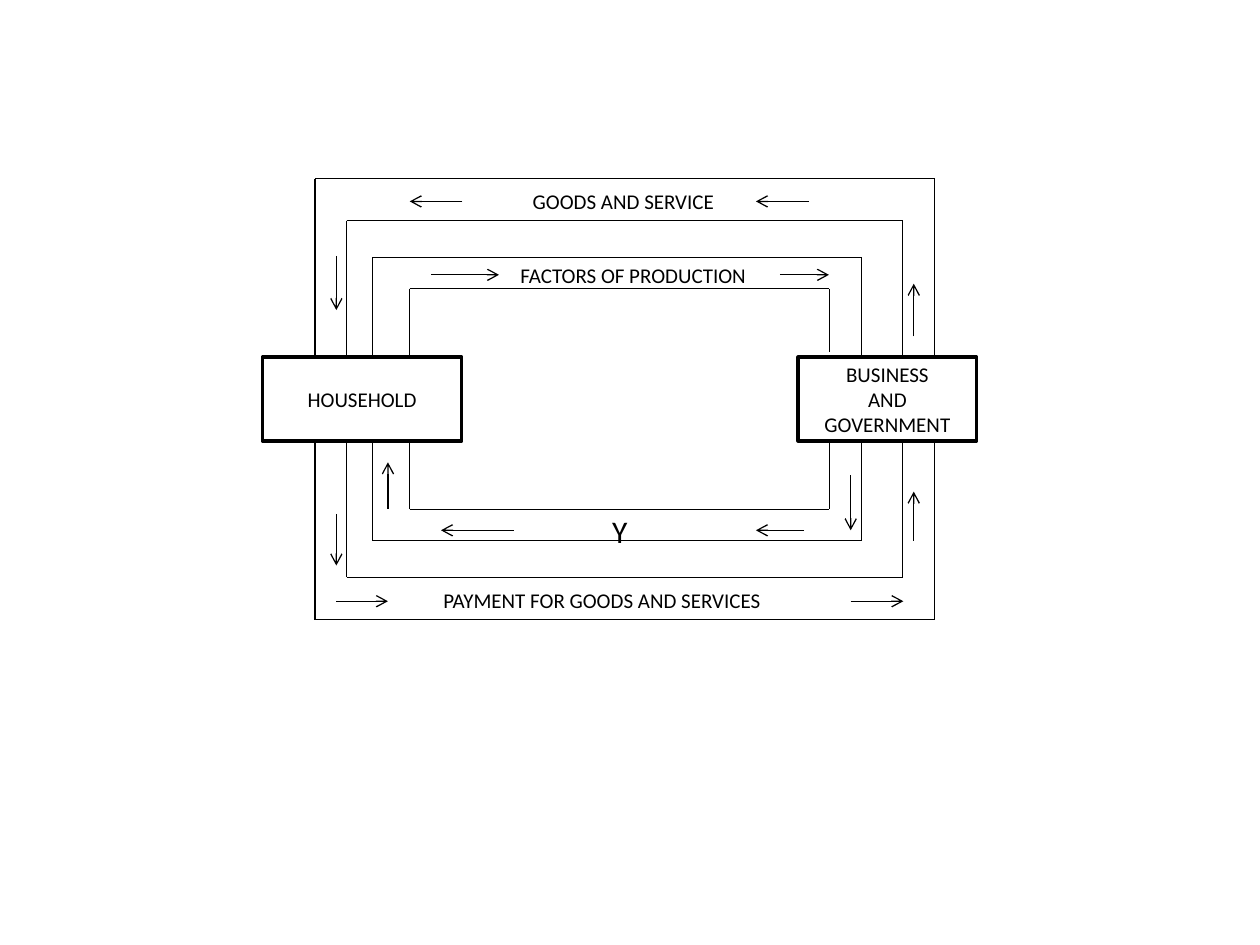
from dataclasses import dataclass

from lxml import etree
from pptx import Presentation
from pptx import util as u
from pptx.dml.color import RGBColor
from pptx.enum import shapes, text
from pptx.oxml import ns


@dataclass(frozen=True)
class Theme:
    """Colours, font and sizes of the slide."""
    ink: RGBColor = RGBColor(0, 0, 0)
    paper: RGBColor = RGBColor(255, 255, 255)
    font: str = "Calibri"
    body: int = 12
    symbol: int = 18
    thin: float = 0.75
    thick: float = 2


THEME = Theme()
SECTOR_TOP, SECTOR_BOTTOM = 3.6, 5.29
LOOPS = [
    (1.06, 0, 13.55, 8.89, SECTOR_TOP),
    (1.7, 0.85, 12.91, 8.04, SECTOR_TOP),
    (2.22, 1.59, 12.07, 7.3, SECTOR_TOP),
    (2.97, 2.22, 11.43, 6.67, 3.49),
]
SECTORS = [
    (0, 4.02, ["HOUSEHOLD"]),
    (10.8, 3.6, ["BUSINESS", "AND", "GOVERNMENT"]),
]
LABELS = [
    (5.2, 0.08, 4.22, 0.76, "GOODS AND SERVICE", THEME.body),
    (4.95, 1.56, 5.21, 0.76, "FACTORS OF PRODUCTION", THEME.body),
    (3.4, 8.11, 7.09, 0.76, "PAYMENT FOR GOODS AND SERVICES", THEME.body),
    (6.8, 6.59, 0.81, 1.02, "Y", THEME.symbol),
]
ACROSS = [
    (0.46, 4.03, 2.97), (0.46, 11.02, 9.95),
    (1.94, 3.4, 4.77), (1.94, 10.43, 11.42),
    (7.09, 5.07, 3.6), (7.09, 10.92, 9.95),
    (8.52, 1.49, 2.53), (8.52, 11.86, 12.92),
]
UPRIGHT = [
    (1.49, 1.56, 2.65), (1.49, 6.76, 7.8), (2.53, 6.66, 5.72),
    (11.86, 5.98, 7.09), (13.13, 3.18, 2.12), (13.13, 7.3, 6.31),
]


def write(frame, lines, size=THEME.body, align=None, anchor=text.MSO_ANCHOR.TOP, wrap=True):
    """Fill a text frame with one paragraph for each line."""
    frame.word_wrap = wrap
    frame.vertical_anchor = anchor
    for index, line in enumerate(lines):
        paragraph = frame.add_paragraph() if index else frame.paragraphs[0]
        paragraph.alignment = align
        run = paragraph.add_run()
        run.text = line
        run.font.name = THEME.font
        run.font.size = u.Pt(size)
        run.font.color.rgb = THEME.ink


def draw_line(slide, box, x1, y1, x2, y2, arrow=False):
    """Draw a thin line within the box, with an arrowhead at its end if asked."""
    left, top = box
    line = slide.shapes.add_connector(
        shapes.MSO_CONNECTOR.STRAIGHT,
        u.Cm(left + x1), u.Cm(top + y1), u.Cm(left + x2), u.Cm(top + y2))
    line.line.color.rgb = THEME.ink
    line.line.width = u.Pt(THEME.thin)
    if arrow:
        etree.SubElement(line.line._get_or_add_ln(), ns.qn("a:tailEnd"), type="arrow")
    etree.SubElement(line._element.spPr, ns.qn("a:effectLst"))


def draw_loop(slide, box, left, top, right, bottom, right_stop):
    """Draw a circuit that is interrupted by the two sectors."""
    for y in (top, bottom):
        draw_line(slide, box, left, y, right, y)
    for x, stop in ((left, SECTOR_TOP), (right, right_stop)):
        draw_line(slide, box, x, top, x, stop)
        draw_line(slide, box, x, SECTOR_BOTTOM, x, bottom)


def draw_sector(slide, box, x, width, lines):
    """Draw a named sector of the economy."""
    left, top = box
    sector = slide.shapes.add_shape(
        shapes.MSO_SHAPE.RECTANGLE, u.Cm(left + x), u.Cm(top + SECTOR_TOP),
        u.Cm(width), u.Cm(SECTOR_BOTTOM - SECTOR_TOP))
    sector.shadow.inherit = False
    sector.fill.solid()
    sector.fill.fore_color.rgb = THEME.paper
    sector.line.color.rgb = THEME.ink
    sector.line.width = u.Pt(THEME.thick)
    write(sector.text_frame, lines, align=text.PP_ALIGN.CENTER, anchor=text.MSO_ANCHOR.MIDDLE)


def draw_label(slide, box, x, y, width, height, label, size):
    """Name the flow that runs through a channel."""
    left, top = box
    caption = slide.shapes.add_textbox(
        u.Cm(left + x), u.Cm(top + y), u.Cm(width), u.Cm(height))
    write(caption.text_frame, [label], size=size, wrap=False)
    caption.text_frame.auto_size = text.MSO_AUTO_SIZE.SHAPE_TO_FIT_TEXT


def draw_circular_flow(slide, box):
    """Draw the circular flow diagram from the top left corner of its box."""
    for loop in LOOPS:
        draw_loop(slide, box, *loop)
    for sector in SECTORS:
        draw_sector(slide, box, *sector)
    for label in LABELS:
        draw_label(slide, box, *label)
    for y, start, end in ACROSS:
        draw_line(slide, box, start, y, end, y, arrow=True)
    for x, start, end in UPRIGHT:
        draw_line(slide, box, x, start, x, end, arrow=True)


def main():
    """Build and save the slide."""
    deck = Presentation()
    deck.slide_width, deck.slide_height = u.Cm(25.4), u.Cm(19.05)
    slide = deck.slides.add_slide(deck.slide_layouts[6])
    draw_circular_flow(slide, (5.29, 3.6))
    deck.save("out.pptx")


if __name__ == "__main__":
    main()
